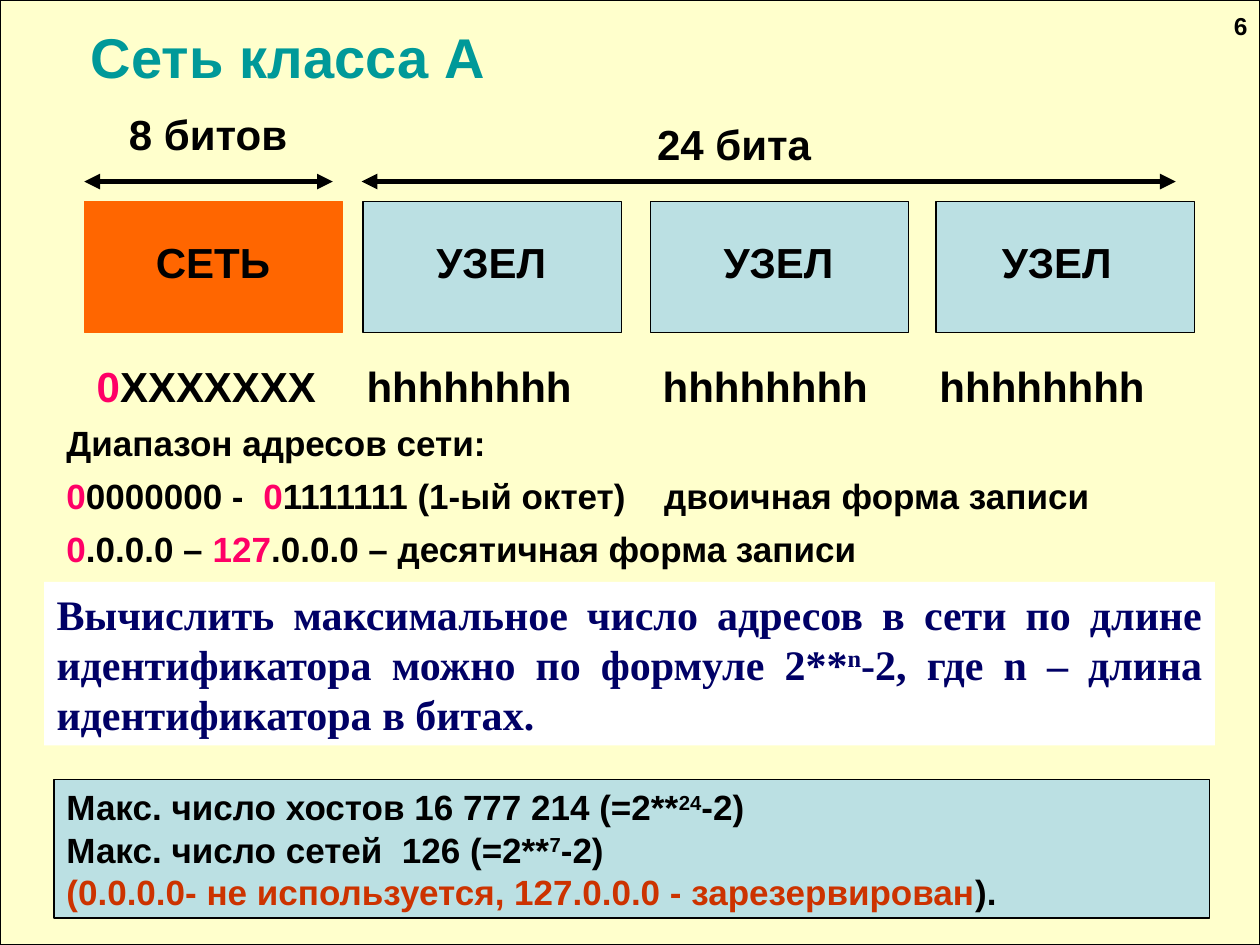
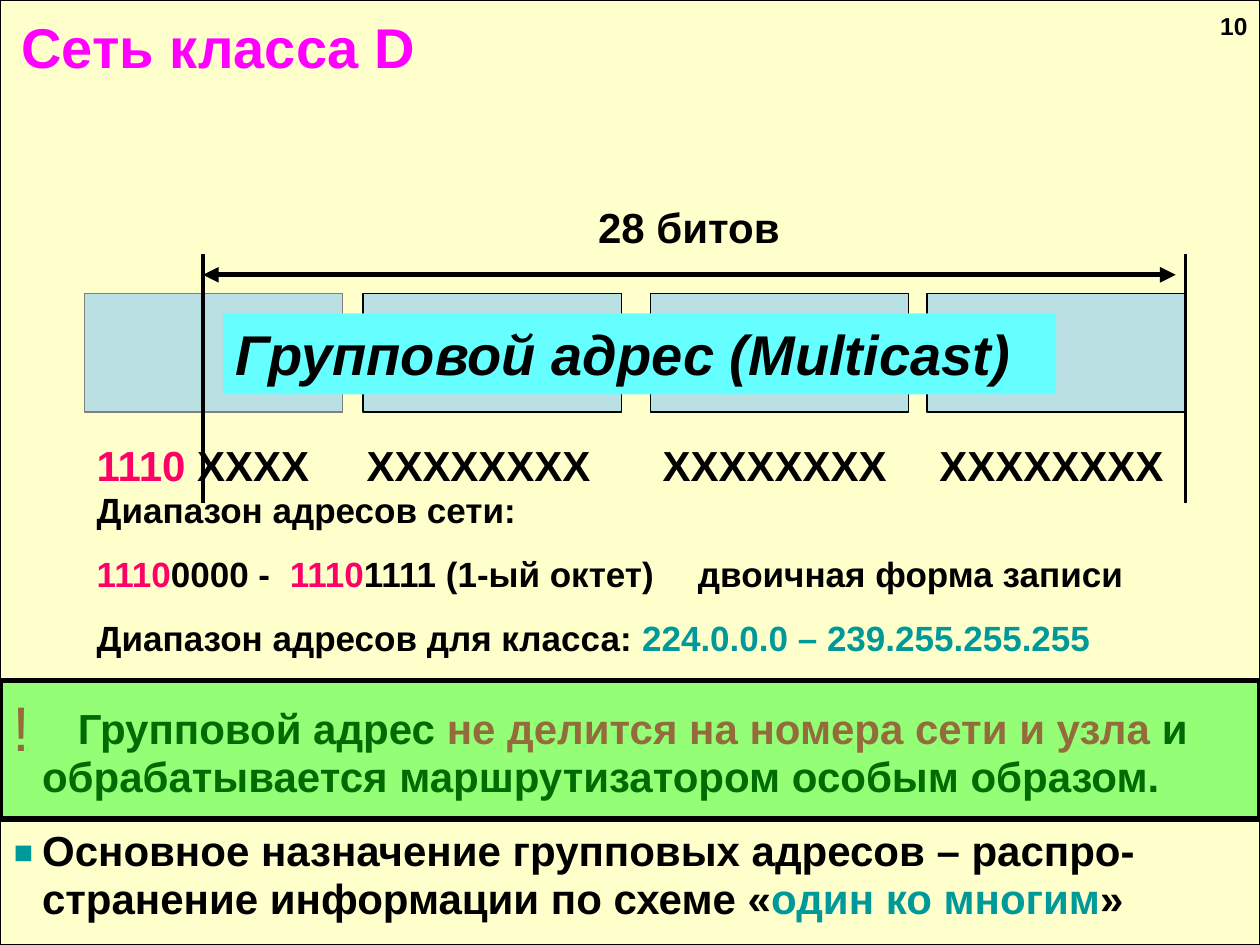
import pptx
import pptx.util
import pptx.dml.color
import pptx.enum.shapes
import pptx.enum.text
import pptx.oxml.ns
from lxml import etree

Cm = pptx.util.Cm
Pt = pptx.util.Pt
RGB = pptx.dml.color.RGBColor
qn = pptx.oxml.ns.qn
Align = pptx.enum.text.PP_ALIGN
Anchor = pptx.enum.text.MSO_ANCHOR

BLACK = RGB(0x00, 0x00, 0x00)
WHITE = RGB(0xFF, 0xFF, 0xFF)
GREY = RGB(0x80, 0x80, 0x80)
CREAM = RGB(0xFF, 0xFF, 0xCC)
ORANGE = RGB(0xFF, 0x66, 0x00)
PALE = RGB(0xBB, 0xE0, 0xE3)
PINK = RGB(0xFF, 0x00, 0x66)
TEAL = RGB(0x00, 0x99, 0x99)
FUCHSIA = RGB(0xFF, 0x00, 0xFF)
NAVY = RGB(0x00, 0x00, 0x66)
RUST = RGB(0xCC, 0x33, 0x00)
CYAN = RGB(0x66, 0xFF, 0xFF)
GREEN = RGB(0x00, 0xFF, 0x00)

BOLD = {"name": "Arial", "bold": True, "italic": False, "size": Pt(24)}
SMALL = BOLD | {"size": Pt(20)}
HEAD = BOLD | {"size": Pt(32)}
MID = {"alignment": Align.CENTER}
LEFT = {"alignment": Align.LEFT}
JUST = {"alignment": Align.JUSTIFY}


def block(slide, at, fill=None, edge=None, width=0.75):
    """Add a rectangle, or a text box when it has neither fill nor edge."""
    area = [Cm(n) for n in at]
    if fill is None and edge is None:
        return slide.shapes.add_textbox(*area)
    rect = slide.shapes.add_shape(pptx.enum.shapes.MSO_SHAPE.RECTANGLE, *area)
    rect.shadow.inherit = False
    rect.fill.solid()
    rect.fill.fore_color.rgb = fill
    if edge is None:
        rect.line.fill.background()
    else:
        rect.line.color.rgb = edge
        rect.line.width = Pt(width)
    return rect


def write(shape, lines, look=BOLD, form=LEFT, gap=0, tab=None):
    """Fill a shape with lines of (text, colour, raise) runs; gap is space before in points."""
    frame = shape.text_frame
    frame.word_wrap = True
    frame.auto_size = pptx.enum.text.MSO_AUTO_SIZE.NONE
    frame.vertical_anchor = Anchor.TOP
    for i, runs in enumerate(lines):
        para = frame.add_paragraph() if i else frame.paragraphs[0]
        for key, value in form.items():
            setattr(para, key, value)
        if i and gap:
            para.space_before = Pt(gap)
        if tab:
            tabs = etree.SubElement(para._p.get_or_add_pPr(), qn("a:tabLst"))
            etree.SubElement(tabs, qn("a:tab"), pos=str(Cm(tab)), algn="l")
        for text, color, *lift in runs:
            run = para.add_run()
            run.text = text
            for key, value in look.items():
                setattr(run.font, key, value)
            run.font.color.rgb = color
            if lift:
                run.font._element.set("baseline", str(lift[0] * 1000))
    return frame


deck = pptx.Presentation()
deck.slide_width, deck.slide_height = Cm(25.4), Cm(19.05)

# Frame, title and page number of each slide
slides = []
for name, color, left, top, page in [
    ("Сеть класса A", TEAL, 1.5, 0.33, "6"),
    ("Сеть класса D", FUCHSIA, 0.1, 0.13, "10"),
]:
    slide = deck.slides.add_slide(deck.slide_layouts[5])
    back = block(slide, (0, 0, 25.4, 19.05), CREAM, BLACK)
    slide.shapes._spTree.insert(2, back._element)
    title = slide.shapes.title
    area = {"left": left, "top": top, "width": 8.61, "height": 1.63}
    for key, value in area.items():
        setattr(title, key, Cm(value))
    write(title, [[(name, color)]], HEAD, MID)
    mark = block(slide, (24.3, 0, 1.1, 1.02))
    frame = write(mark, [[(page, BLACK)]], BOLD | {"size": Pt(14)},
                  {"alignment": Align.RIGHT})
    frame.vertical_anchor = Anchor.MIDDLE
    slides.append(slide)
first, second = slides

# Octets of both slides: rectangles, then the bits under them
WIDE = 5.21
ZERO = [("0", PINK), ("XXXXXXX", BLACK)]
HOST = [("hhhhhhhh", BLACK)]
GROUP = [("1110 ", PINK), ("XXXX", BLACK)]
BITS = [("XXXXXXXX", BLACK)]
for slide, top, high, low, last, fills, edges, bits in [
    (first, 4.06, 2.64, 7.14, 18.87, [ORANGE] + [PALE] * 3,
     [ORANGE] + [BLACK] * 3, [ZERO] + [HOST] * 3),
    (second, 5.92, 2.39, 8.74, 18.69, [PALE] * 4,
     [GREY] + [BLACK] * 3, [GROUP] + [BITS] * 3),
]:
    for left, fill, edge in zip((1.7, 7.32, 13.11, last), fills, edges):
        block(slide, (left, top, WIDE, high), fill, edge)
    for left, runs in zip((1.7, 7.14, 13.11, 18.69), bits):
        write(block(slide, (left, low, WIDE, 1.27)), [runs])

# Captions in and above the octets
for slide, left, top, wide, text in [
    (first, 2.29, 4.65, 4.01, "СЕТЬ"),
    (first, 7.9, 4.65, 4.01, "УЗЕЛ"),
    (first, 13.69, 4.65, 4.01, "УЗЕЛ"),
    (first, 19.3, 4.65, 4.01, "УЗЕЛ"),
    (first, 2.29, 2.06, 3.81, "8 битов"),
    (first, 9.3, 2.26, 11, "24 бита"),
    (second, 5.89, 3.94, 16, "28 битов"),
]:
    write(block(slide, (left, top, wide, 1.27)), [[(text, BLACK)]], form=MID)

# Class A: range, formula and limits
write(block(first, (1.09, 8.53, 22.3, 3.2)), [
    [("Диапазон адресов сети:", BLACK)],
    [("0", PINK), ("0000000 -  ", BLACK), ("0", PINK),
     ("1111111 (1-ый октет)\tдвоичная форма записи", BLACK)],
    [("0", PINK), (".0.0.0 – ", BLACK), ("127", PINK),
     (".0.0.0 – десятичная форма записи", BLACK)],
], SMALL, LEFT | {"line_spacing": 0.8, "space_after": Pt(11.2)}, tab=12.05)

write(block(first, (0.89, 11.73, 23.6, 3.3), WHITE), [[
    ("Вычислить максимальное число адресов в сети по длине "
     "идентификатора можно по формуле 2**", NAVY),
    ("n", NAVY, 30),
    ("-2, где n – длина идентификатора в битах.", NAVY),
]], BOLD | {"name": "Times New Roman"}, JUST)

write(block(first, (1.09, 15.72, 23.29, 2.79), PALE, BLACK), [
    [("Макс. число хостов 16 777 214 (=2**", BLACK), ("24", BLACK, 30),
     ("-2)", BLACK)],
    [("Макс. число сетей  126 (=2**", BLACK), ("7", BLACK, 30), ("-2)", BLACK)],
    [("(0.0.0.0- не используется, 127.0.0.0 - зарезервирован", RUST),
     (").", BLACK)],
], SMALL, JUST)

# Class D: range, multicast label and notes
write(block(second, (1.7, 9.73, 21.41, 4.52)), [
    [("Диапазон адресов сети:", BLACK)],
    [("1110", PINK), ("0000 -  ", BLACK), ("1110", PINK),
     ("1111 (1-ый октет)\tдвоичная форма записи", BLACK)],
    [("Диапазон адресов для класса: ", BLACK),
     ("224.0.0.0 – 239.255.255.255", TEAL)],
], SMALL, gap=12.5, tab=12.12)

write(block(second, (4.5, 6.32, 16.79, 1.63), CYAN),
      [[("Групповой адрес (Multicast)", BLACK)]], HEAD | {"italic": True})

notes = write(block(second, (0, 14.12, 25.4, 4.65)), [
    [("\tГрупповой адрес ", BLACK), ("не делится на номера сети и узла", PINK),
     (" и обрабатывается маршрутизатором особым образом.", BLACK)],
    [("Основное назначение групповых адресов – распро-странение "
      "информации по схеме «", BLACK), ("один ко многим", TEAL), ("»", BLACK)],
], form=LEFT | {"line_spacing": 0.95})
for para, sign, color, after in zip(notes.paragraphs, "!▪", (PINK, TEAL), (15, 18)):
    para.space_after = Pt(after)
    props = para._p.get_or_add_pPr()
    props.set("marL", str(Cm(0.6)))
    props.set("indent", str(-Cm(0.6)))
    tint = etree.SubElement(props, qn("a:buClr"))
    etree.SubElement(tint, qn("a:srgbClr"), val=str(color))
    etree.SubElement(props, qn("a:buSzPct"), val="150000")
    etree.SubElement(props, qn("a:buFont"), typeface="Arial")
    etree.SubElement(props, qn("a:buChar"), char=sign)
    if sign == "!":
        tabs = etree.SubElement(props, qn("a:tabLst"))
        etree.SubElement(tabs, qn("a:tab"), pos=str(Cm(1.32)), algn="l")

veil = block(second, (0, 13.72, 25.4, 2.79), GREEN, BLACK, 3)
tint = veil._element.spPr.find(qn("a:solidFill"))[0]
etree.SubElement(tint, qn("a:alpha"), val="42000")

# Arrows over the octets and the limits of the group address
for slide, x1, y1, x2, y2, width, heads in [
    (first, 1.7, 3.66, 6.71, 3.66, 3, True),
    (first, 7.29, 3.66, 23.7, 3.66, 3, True),
    (second, 4.09, 5.54, 23.7, 5.54, 3, True),
    (second, 4.09, 5.13, 4.09, 10.13, 2, False),
    (second, 23.9, 5.13, 23.9, 10.13, 2, False),
]:
    rule = slide.shapes.add_connector(
        pptx.enum.shapes.MSO_CONNECTOR.STRAIGHT, Cm(x1), Cm(y1), Cm(x2), Cm(y2))
    rule.line.color.rgb = BLACK
    rule.line.width = Pt(width)
    props = rule._element.spPr
    if heads:
        for end in ("a:headEnd", "a:tailEnd"):
            etree.SubElement(props.find(qn("a:ln")), qn(end), type="triangle")
    etree.SubElement(props, qn("a:effectLst"))

deck.save("out.pptx")
